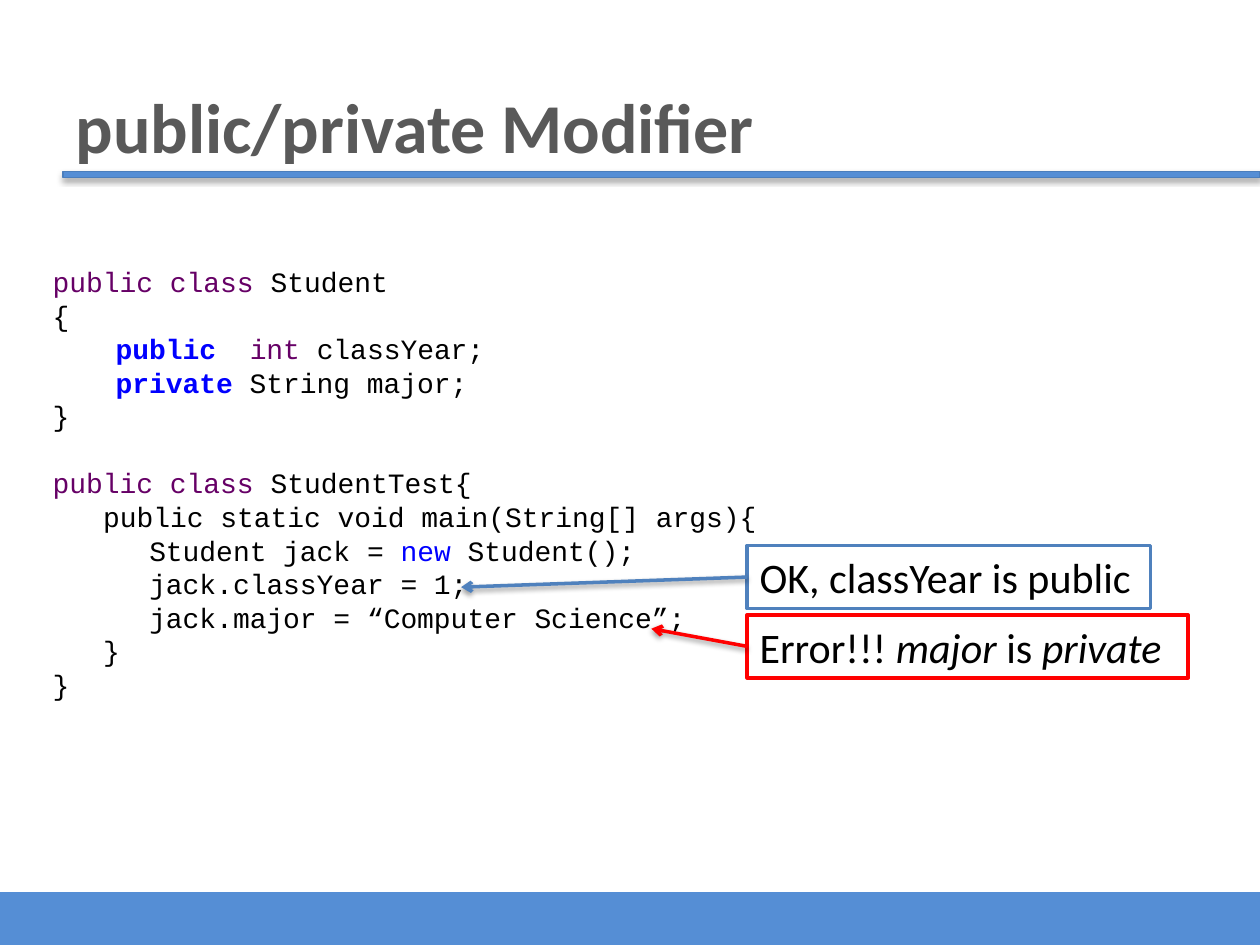
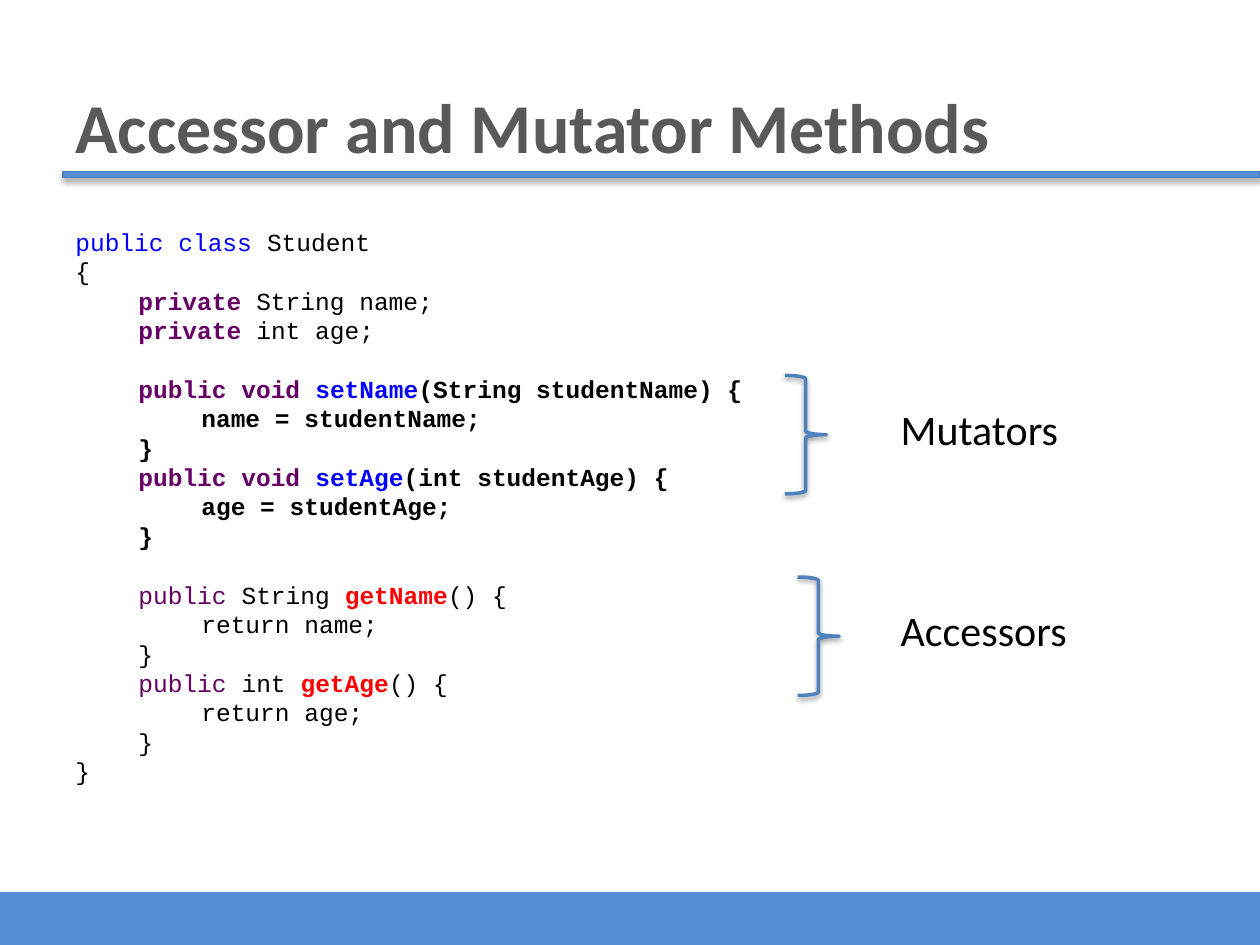
from lxml import etree
from pptx import Presentation
from pptx.dml.color import RGBColor
from pptx.enum import shapes, text
from pptx.oxml import ns
from pptx.util import Pt

BAND = RGBColor(0x55, 0x8E, 0xD5)
BAND_EDGE = RGBColor(0x4B, 0x7E, 0xBC)
ACCENT = RGBColor(0x4F, 0x81, 0xBD)
TITLE_GREY = RGBColor(0x59, 0x59, 0x59)
WHITE = RGBColor(0xFF, 0xFF, 0xFF)
BLACK = RGBColor(0, 0, 0)
RED = RGBColor(0xFF, 0, 0)
BLUE = RGBColor(0, 0, 0xFF)
PURPLE = RGBColor(0x66, 0, 0x66)

BODY_FONT = "Calibri"
CODE_FONT = "Courier New"
SLIDE_WIDTH, SLIDE_HEIGHT = 720, 540
LINE_WIDTH = 2
LINE_PITCH = 1.2
TAB = 36
GAP = None

MODIFIER_CODE = [
    (0, [("public class ", PURPLE), ("Student",)]),
    (0, [("{",)]),
    (TAB, [("public  ", BLUE, True), ("int ", PURPLE), ("classYear;",)]),
    (TAB, [("private", BLUE, True), (" String major;",)]),
    (0, [("}",)]),
    GAP,
    (0, [("public class ", PURPLE), ("StudentTest{",)]),
    (28.8, [("public static void main(String[] args){",)]),
    (55.2, [("Student jack = ",), ("new", BLUE), (" Student();",)]),
    (55.2, [("jack.classYear = 1;",)]),
    (55.2, [("jack.major = “Computer Science”;",)]),
    (28.8, [("}",)]),
    (0, [("}",)]),
]


def mutator(name, parameter, statement):
    return [
        (TAB, [("public void ", PURPLE, True), (name, BLUE, True),
               (f"({parameter}) {{", BLACK, True)]),
        (2 * TAB, [(statement, BLACK, True)]),
        (TAB, [("}", BLACK, True)]),
    ]


def accessor(kind, name, statement):
    return [
        (TAB, [("public ", PURPLE), (f"{kind} ",), (name, RED, True), ("() {",)]),
        (2 * TAB, [(statement,)]),
        (TAB, [("}",)]),
    ]


METHODS_CODE = [
    (0, [("public class ", BLUE), ("Student",)]),
    (0, [("{",)]),
    (TAB, [("private", PURPLE, True), (" String name;",)]),
    (TAB, [("private ", PURPLE, True), ("int age;",)]),
    GAP,
    *mutator("setName", "String studentName", "name = studentName;"),
    *mutator("setAge", "int studentAge", "age = studentAge;"),
    GAP,
    *accessor("String", "getName", "return name;"),
    *accessor("int", "getAge", "return age;"),
    (0, [("}",)]),
]


def add_run(paragraph, content, *, font=BODY_FONT, size=24, color=BLACK,
            bold=False, italic=False):
    run = paragraph.add_run()
    run.text = content
    run.font.name = font
    run.font.size = Pt(size)
    run.font.color.rgb = color
    run.font.bold = bold
    run.font.italic = italic


def add_shadow(shape, opacity=38, distance=1.6):
    properties = shape.element.spPr
    for effects in properties.findall(ns.qn("a:effectLst")):
        properties.remove(effects)
    effects = etree.SubElement(properties, ns.qn("a:effectLst"))
    shadow = etree.SubElement(effects, ns.qn("a:outerShdw"), blurRad=str(Pt(3.1)),
                              dist=str(Pt(distance)), dir="5400000", rotWithShape="0")
    color = etree.SubElement(shadow, ns.qn("a:srgbClr"), val=str(BLACK))
    etree.SubElement(color, ns.qn("a:alpha"), val=str(opacity * 1000))


def add_preset(slide, kind, left, top, width, height, *, fill=None, line=None,
               line_width=LINE_WIDTH):
    shape = slide.shapes.add_shape(kind, Pt(left), Pt(top), Pt(width), Pt(height))
    shape.shadow.inherit = False
    if fill is None:
        shape.fill.background()
    else:
        shape.fill.solid()
        shape.fill.fore_color.rgb = fill
    if line is None:
        shape.line.fill.background()
    else:
        shape.line.color.rgb = line
        shape.line.width = Pt(line_width)
    return shape


def add_text_box(slide, left, top, width, height):
    box = slide.shapes.add_textbox(Pt(left), Pt(top), Pt(width), Pt(height))
    box.text_frame.word_wrap = True
    return box


def add_label(slide, left, top, content):
    box = add_text_box(slide, left, top, 111.6, 36)
    add_run(box.text_frame.paragraphs[0], content)


def add_callout(slide, left, top, width, pieces, color):
    box = add_text_box(slide, left, top, width, 36)
    box.fill.solid()
    box.fill.fore_color.rgb = WHITE
    box.line.color.rgb = color
    box.line.width = Pt(LINE_WIDTH)
    for content, italic in pieces:
        add_run(box.text_frame.paragraphs[0], content, italic=italic)


def add_arrow(slide, start, end, color):
    arrow = slide.shapes.add_connector(shapes.MSO_CONNECTOR.STRAIGHT,
                                       *(Pt(value) for value in (*start, *end)))
    arrow.line.color.rgb = color
    arrow.line.width = Pt(LINE_WIDTH)
    outline = arrow.element.spPr.find(ns.qn("a:ln"))
    etree.SubElement(outline, ns.qn("a:tailEnd"), type="arrow")
    add_shadow(arrow)


def add_brace(slide, left, top):
    brace = add_preset(slide, shapes.MSO_SHAPE.RIGHT_BRACE, left, top, 23.76, 67.68,
                       line=ACCENT)
    add_shadow(brace)


def add_code(slide, left, top, width, height, lines, size):
    frame = add_text_box(slide, left, top, width, height).text_frame
    paragraph = frame.paragraphs[0]
    space_before = 0
    for number, line in enumerate(lines):
        if line is GAP:
            space_before = size * LINE_PITCH
            continue
        if number:
            paragraph = frame.add_paragraph()
        indent, pieces = line
        paragraph.space_before = Pt(space_before)
        space_before = 0
        paragraph.line_spacing = 1.0
        properties = paragraph._p.get_or_add_pPr()
        properties.set("marL", str(Pt(indent)))
        properties.set("indent", "0")
        for content, color, bold in (
                (*piece, BLACK, False)[:3] if len(piece) == 1 else
                (*piece, False)[:3] for piece in pieces):
            add_run(paragraph, content, font=CODE_FONT, size=size, color=color, bold=bold)


def add_titled_slide(presentation, heading):
    slide = presentation.slides.add_slide(presentation.slide_layouts[5])
    title = slide.shapes.title
    title.left, title.top, title.width, title.height = Pt(36), Pt(36.72), Pt(648), Pt(70.56)
    title.text_frame.vertical_anchor = text.MSO_ANCHOR.MIDDLE
    paragraph = title.text_frame.paragraphs[0]
    paragraph.alignment = text.PP_ALIGN.LEFT
    add_run(paragraph, heading, size=40, color=TITLE_GREY, bold=True)

    rectangle = shapes.MSO_SHAPE.RECTANGLE
    add_preset(slide, rectangle, 0, 509.76, SLIDE_WIDTH, 30.24, fill=BAND)
    rule = add_preset(slide, rectangle, 36, 97.92, SLIDE_WIDTH - 36, 3.6, fill=BAND,
                      line=BAND_EDGE, line_width=0.75)
    add_shadow(rule, opacity=35, distance=1.8)
    return slide


def build_modifier_slide(presentation):
    slide = add_titled_slide(presentation, "public/private Modifier")
    add_code(slide, 23.04, 147.6, 470.88, 259.2, MODIFIER_CODE, 16)
    left = 426.96
    add_callout(slide, left, 351.36, 252,
                [("Error!!! ", False), ("major ", True), ("is ", False), ("private", True)],
                RED)
    add_callout(slide, left, 311.76, 230.4, [("OK, classYear is public", False)], ACCENT)
    add_arrow(slide, (left, 329.76), (263.52, 335.52), ACCENT)
    add_arrow(slide, (left, 369.36), (372.24, 359.28), RED)


def build_methods_slide(presentation):
    slide = add_titled_slide(presentation, "Accessor and Mutator Methods")
    add_code(slide, 36, 126, 398.16, 329.76, METHODS_CODE, 14)
    for content, label_top, brace_left, brace_top in (
            ("Mutators", 226.8, 448.56, 214.56),
            ("Accessors", 342, 455.76, 329.76)):
        add_label(slide, 507.6, label_top, content)
        add_brace(slide, brace_left, brace_top)


def main():
    presentation = Presentation()
    presentation.slide_width = Pt(SLIDE_WIDTH)
    presentation.slide_height = Pt(SLIDE_HEIGHT)
    build_modifier_slide(presentation)
    build_methods_slide(presentation)
    presentation.save("out.pptx")


if __name__ == "__main__":
    main()
